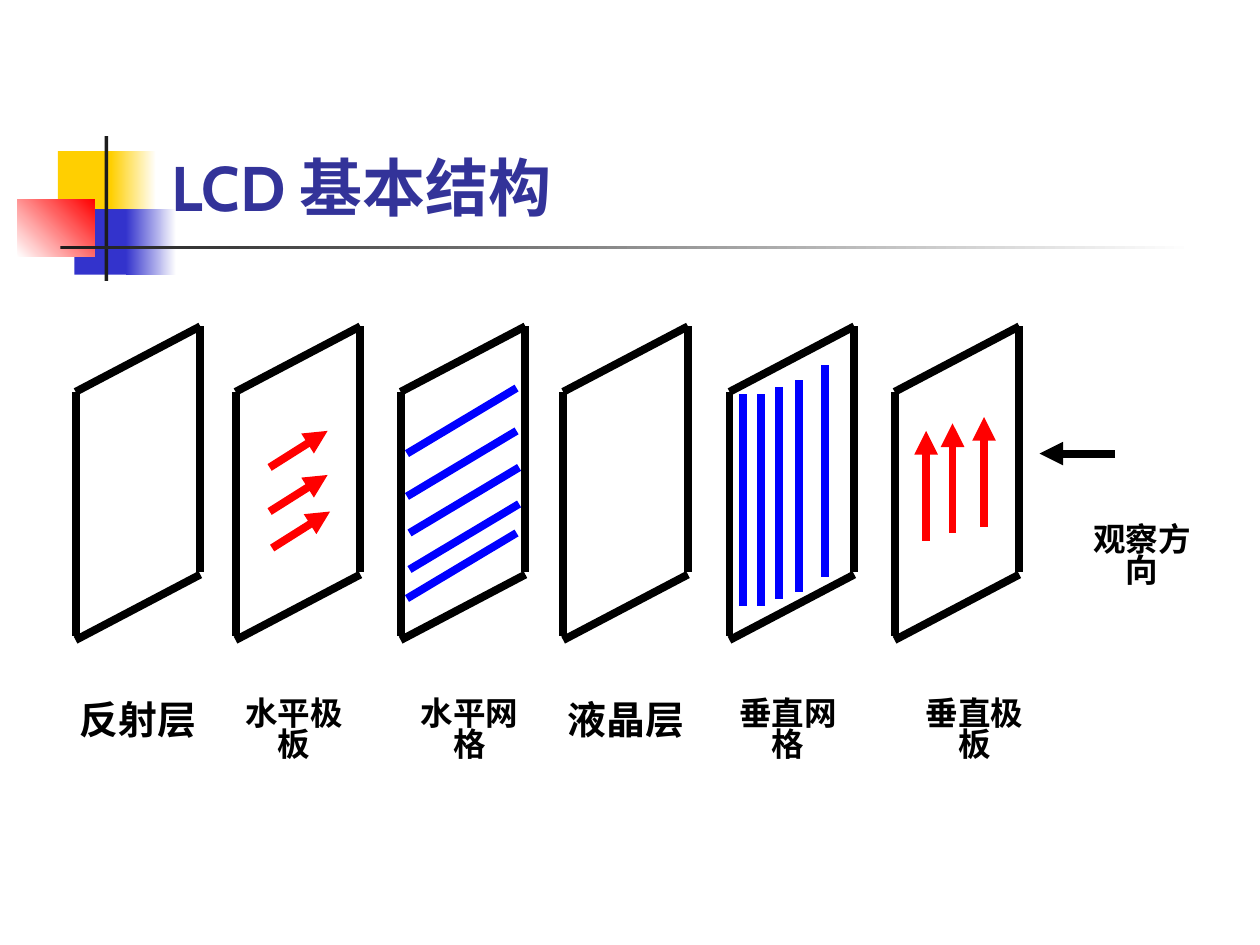
from dataclasses import dataclass
from typing import Optional

import pptx
import pptx.dml.color
import pptx.enum.shapes
import pptx.enum.text
import pptx.oxml
import pptx.oxml.ns
import pptx.util

Inches = pptx.util.Inches


@dataclass(frozen=True)
class Theme:
    black: str = "000000"
    white: str = "FFFFFF"
    charcoal: str = "1C1C1C"
    yellow: str = "FFCF01"
    violet: str = "3333CC"
    red: str = "FF0000"
    blue: str = "0000FF"
    title_color: str = "333399"
    title_font: str = "Cabin"
    label_font: str = "Times New Roman"
    title_size: float = 36
    label_size: float = 18.6
    large_label_size: float = 22.2
    stroke: float = 4.5


@dataclass(frozen=True)
class Block:
    """A decorative rectangle; fade_to turns its fill into a gradient."""
    left: float
    top: float
    width: float
    height: float
    color: str
    fade_to: Optional[str] = None
    angle: float = 0


@dataclass(frozen=True)
class Stroke:
    x1: float
    y1: float
    x2: float
    y2: float
    color: str
    arrow: bool = False


@dataclass(frozen=True)
class Label:
    text: str
    left: float
    top: float = 5.56
    large: bool = False


THEME = Theme()

DECORATION = [
    Block(0.46, 1.2, 0.48, 0.52, THEME.yellow),
    Block(0.88, 1.2, 0.36, 0.52, THEME.yellow, THEME.white),
    Block(0.59, 1.66, 0.46, 0.52, THEME.violet),
    Block(1, 1.66, 0.4, 0.52, THEME.violet, THEME.white),
    Block(0.14, 1.58, 0.61, 0.46, THEME.white, THEME.red, 45),
    Block(0.83, 1.08, 0.03, 1.15, THEME.charcoal),
    Block(0.48, 1.95, 9, 0.03, THEME.charcoal, THEME.white),
]

LAYER_LEFTS = [0.6, 1.87, 3.18, 4.47, 5.79, 7.1]
LAYER_WIDTH = 0.99

HORIZONTAL_POLARIZER = [(2.14, 3.71), (2.14, 4.06), (2.16, 4.35)]
HORIZONTAL_GRID = [(3.23, 3.6), (3.23, 3.94), (3.25, 4.23), (3.25, 4.52), (3.23, 4.75)]
VERTICAL_GRID = [(5.9, 3.13), (6.04, 3.13), (6.18, 3.07), (6.34, 3.02), (6.55, 2.9)]
VERTICAL_POLARIZER = [(7.35, 4.29), (7.56, 4.23), (7.81, 4.18)]

LABELS = [
    Label("反射层", 0.6, large=True),
    Label("水平极板", 1.84),
    Label("水平网格", 3.23),
    Label("液晶层", 4.47, large=True),
    Label("垂直网格", 5.76),
    Label("垂直极板", 7.24),
    Label("观察方向", 8.57, top=4.18),
]


def rgb(color: str) -> pptx.dml.color.RGBColor:
    return pptx.dml.color.RGBColor.from_string(color)


def draw_block(slide, block: Block):
    rectangle = slide.shapes.add_shape(
        pptx.enum.shapes.MSO_SHAPE.RECTANGLE,
        Inches(block.left), Inches(block.top), Inches(block.width), Inches(block.height))
    rectangle.shadow.inherit = False
    rectangle.line.fill.background()
    if block.fade_to is None:
        rectangle.fill.solid()
        rectangle.fill.fore_color.rgb = rgb(block.color)
    else:
        rectangle.fill.gradient()
        rectangle.fill.gradient_angle = block.angle
        for stop, color in zip(rectangle.fill.gradient_stops, (block.color, block.fade_to)):
            stop.color.rgb = rgb(color)
    return rectangle


def draw_stroke(slide, stroke: Stroke) -> None:
    connector = slide.shapes.add_connector(
        pptx.enum.shapes.MSO_CONNECTOR.STRAIGHT,
        Inches(stroke.x1), Inches(stroke.y1), Inches(stroke.x2), Inches(stroke.y2))
    connector.line.color.rgb = rgb(stroke.color)
    connector.line.width = pptx.util.Pt(THEME.stroke)
    properties = connector._element.spPr
    if stroke.arrow:
        head = pptx.oxml.parse_xml(
            f'<a:tailEnd {pptx.oxml.ns.nsdecls("a")} type="triangle"/>')
        connector.line._get_or_add_ln().append(head)
    properties.append(pptx.oxml.parse_xml(
        f'<a:effectLst {pptx.oxml.ns.nsdecls("a")}/>'))


def draw_layer(slide, left: float) -> None:
    """Draw one panel: two upright sides joined by two slanted edges."""
    right = left + LAYER_WIDTH
    for x1, y1, x2, y2 in [
        (left, 3.11, left, 5.05),
        (right, 2.59, right, 4.54),
        (left, 3.11, right, 2.59),
        (left, 5.08, right, 4.56),
    ]:
        draw_stroke(slide, Stroke(x1, y1, x2, y2, THEME.black))


def draw_parallel(slide, starts: list[tuple[float, float]], dx: float, dy: float,
                  color: str, arrow: bool = False) -> None:
    for x, y in starts:
        draw_stroke(slide, Stroke(x, y, x + dx, y + dy, color, arrow))


def style_text(paragraph, font: str, size: float, color: str) -> None:
    paragraph.font.name = font
    paragraph.font.size = pptx.util.Pt(size)
    paragraph.font.bold = True
    paragraph.font.color.rgb = rgb(color)


def draw_title(slide, text: str) -> None:
    frame = slide.shapes.add_textbox(
        Inches(1.26), Inches(0.69), Inches(8.52), Inches(1.14)).text_frame
    frame.word_wrap = True
    frame.vertical_anchor = pptx.enum.text.MSO_ANCHOR.BOTTOM
    frame.text = text
    style_text(frame.paragraphs[0], THEME.title_font, THEME.title_size, THEME.title_color)


def draw_label(slide, label: Label) -> None:
    frame = draw_block(
        slide, Block(label.left, label.top, 0.99, 0.64, THEME.white)).text_frame
    frame.margin_left = frame.margin_right = frame.margin_top = frame.margin_bottom = 0
    frame.word_wrap = True
    frame.vertical_anchor = pptx.enum.text.MSO_ANCHOR.TOP
    frame.text = label.text
    paragraph = frame.paragraphs[0]
    paragraph.alignment = pptx.enum.text.PP_ALIGN.CENTER
    paragraph.line_spacing = 0.9 if label.large else 0.8
    size = THEME.large_label_size if label.large else THEME.label_size
    style_text(paragraph, THEME.label_font, size, THEME.black)


def main() -> None:
    presentation = pptx.Presentation()
    presentation.slide_width, presentation.slide_height = Inches(10), Inches(7.5)
    slide = presentation.slides.add_slide(presentation.slide_layouts[6])

    for block in DECORATION:
        draw_block(slide, block)
    draw_title(slide, "LCD 基本结构")
    for left in LAYER_LEFTS:
        draw_layer(slide, left)
    draw_parallel(slide, HORIZONTAL_POLARIZER, 0.46, -0.29, THEME.red, arrow=True)
    draw_parallel(slide, HORIZONTAL_GRID, 0.87, -0.52, THEME.blue)
    draw_parallel(slide, VERTICAL_GRID, 0, 1.68, THEME.blue)
    draw_parallel(slide, VERTICAL_POLARIZER, 0, -0.87, THEME.red, arrow=True)
    draw_stroke(slide, Stroke(8.85, 3.6, 8.25, 3.6, THEME.black, arrow=True))
    for label in LABELS:
        draw_label(slide, label)

    presentation.save("out.pptx")


if __name__ == "__main__":
    main()
